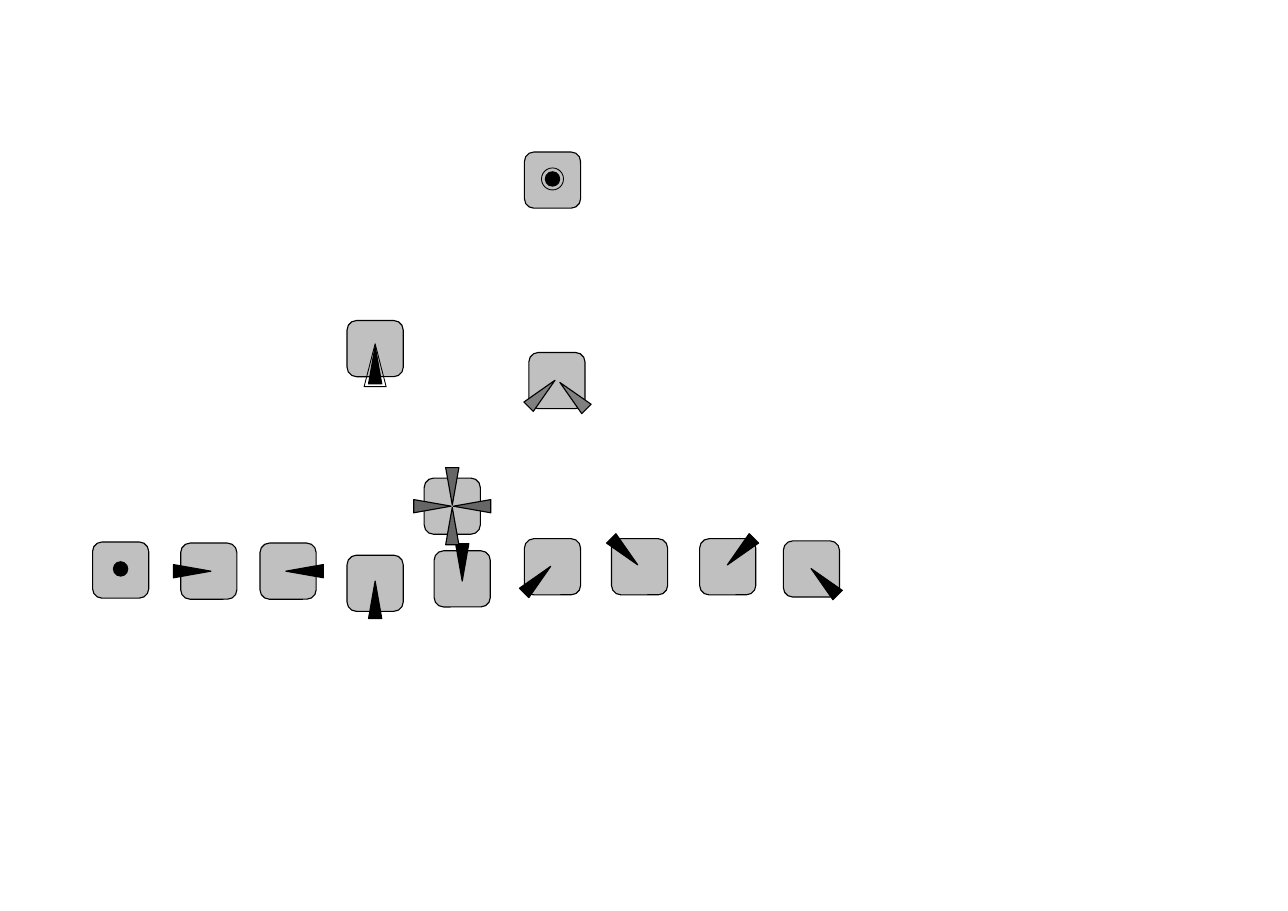
from dataclasses import dataclass
from math import cos, radians, sin

from pptx import Presentation
from pptx.dml.color import RGBColor
from pptx.enum.shapes import MSO_SHAPE
from pptx.util import Inches, Pt


@dataclass(frozen=True)
class Theme:
    key: str = "C0C0C0"
    pressed: str = "000000"
    pair: str = "808080"
    cross: str = "666666"
    outline: str = "000000"
    hairline: float = 0
    emphasis: float = 0.57


KEY_SIZE = 0.51
WEDGE = (0.12, 0.34)
WEDGE_OUTLINE = (0.2, 0.39)
STRAIGHT_REACH = 0.15
DIAGONAL_REACH = 0.18


class KeyBoard:
    def __init__(self, slide, theme):
        self.slide = slide
        self.theme = theme

    def start_key(self, left, top):
        self.group = self.slide.shapes.add_group_shape()
        self.x = left + KEY_SIZE / 2
        self.y = top + KEY_SIZE / 2
        face = self.draw(MSO_SHAPE.ROUNDED_RECTANGLE, self.x, self.y,
                         (KEY_SIZE, KEY_SIZE), self.theme.key)
        face.adjustments[0] = 0.167

    def draw(self, kind, x, y, size, fill):
        width, height = size
        shape = self.group.shapes.add_shape(
            kind, Inches(x - width / 2), Inches(y - height / 2),
            Inches(width), Inches(height))
        shape.shadow.inherit = False
        shape.line.color.rgb = RGBColor.from_string(self.theme.outline)
        if fill:
            shape.fill.solid()
            shape.fill.fore_color.rgb = RGBColor.from_string(fill)
            shape.line.width = Pt(self.theme.hairline)
        else:
            shape.fill.background()
            shape.line.width = Pt(self.theme.emphasis)
        return shape

    def dot(self, diameter, fill):
        self.draw(MSO_SHAPE.OVAL, self.x, self.y - 0.01, (diameter, diameter), fill)

    def wedge(self, angle, fill, size=WEDGE, reach=STRAIGHT_REACH, nudge=(0, 0)):
        turn = radians(angle)
        x = self.x - reach * sin(turn) + nudge[0]
        y = self.y + reach * cos(turn) + nudge[1]
        self.draw(MSO_SHAPE.ISOSCELES_TRIANGLE, x, y, size, fill).rotation = angle

    def diagonal_wedge(self, angle, fill, nudge=(-0.01, -0.01)):
        self.wedge(angle, fill, reach=DIAGONAL_REACH, nudge=nudge)


def main():
    presentation = Presentation()
    presentation.slide_width = Inches(11.69)
    presentation.slide_height = Inches(8.27)
    theme = Theme()
    board = KeyBoard(presentation.slides.add_slide(presentation.slide_layouts[6]), theme)

    for left, top, angle in [(3.15, 5.04, 0), (3.94, 5, 180),
                             (2.36, 4.93, 270), (1.64, 4.93, 90)]:
        board.start_key(left, top)
        board.wedge(angle, theme.pressed)

    for left, top, angle in [(6.35, 4.89, 225), (7.11, 4.91, 315),
                             (5.55, 4.89, 135), (4.76, 4.89, 45)]:
        board.start_key(left, top)
        board.diagonal_wedge(angle, theme.pressed)

    board.start_key(0.84, 4.92)
    board.dot(0.13, theme.pressed)

    board.start_key(3.85, 4.34)
    for angle in (180, 0, 90, 270):
        board.wedge(angle, theme.cross, reach=0.18)

    board.start_key(4.76, 1.38)
    board.dot(0.13, theme.pressed)
    board.dot(0.2, None)

    board.start_key(3.15, 2.91)
    board.wedge(0, theme.pressed)
    board.wedge(0, None, size=WEDGE_OUTLINE)

    board.start_key(4.8, 3.2)
    board.diagonal_wedge(45, theme.pair)
    board.diagonal_wedge(315, theme.pair, nudge=(0.02, 0.01))

    presentation.save("out.pptx")


if __name__ == "__main__":
    main()
